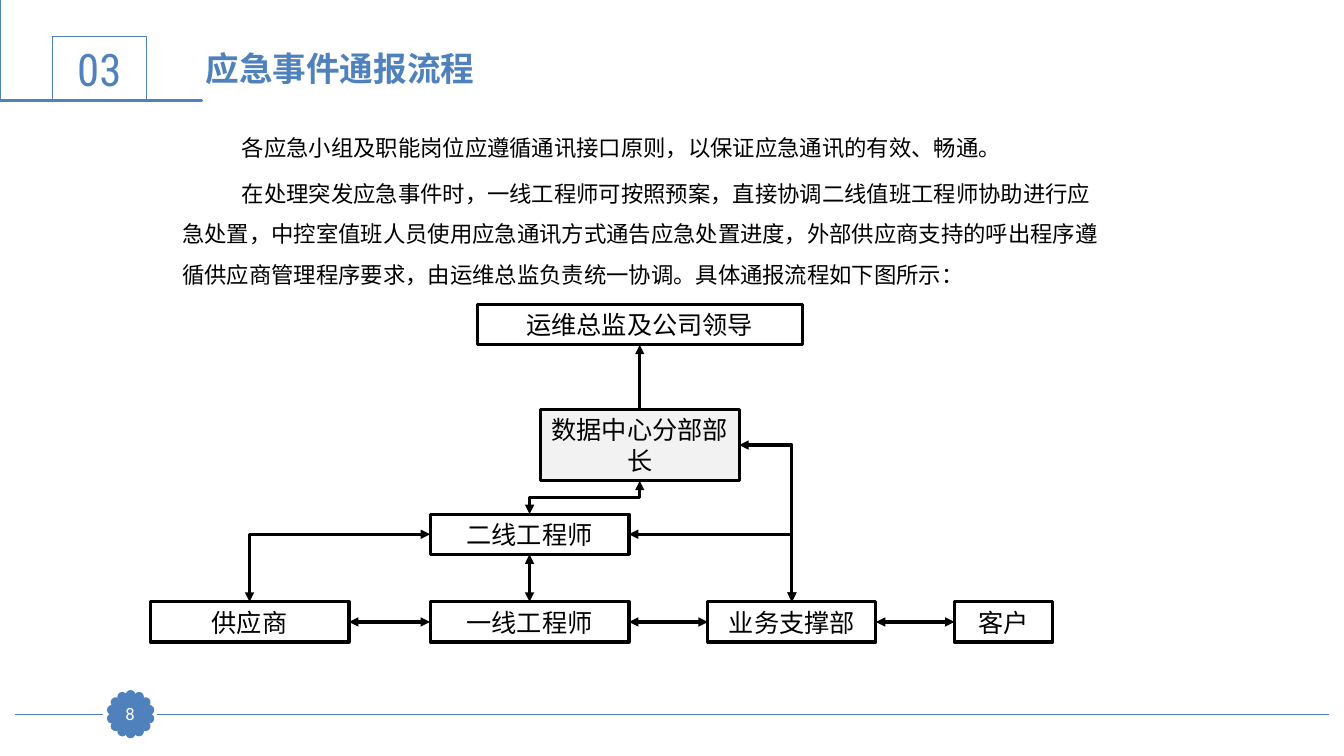
from math import cos, pi, sin

from lxml.etree import SubElement
from pptx import Presentation
from pptx.dml.color import RGBColor
from pptx.enum.shapes import MSO_CONNECTOR, MSO_SHAPE
from pptx.enum.text import MSO_ANCHOR, PP_ALIGN
from pptx.oxml.ns import qn
from pptx.util import Inches, Pt

BLUE = RGBColor(0x4F, 0x81, 0xBD)
GREEN = RGBColor(0x33, 0x99, 0x33)
GREY = RGBColor(0xF2, 0xF2, 0xF2)
BLACK = RGBColor(0, 0, 0)
WHITE = RGBColor(0xFF, 0xFF, 0xFF)

WIDTH, HEIGHT = Inches(13.33), Inches(7.5)
TOP, LEFT, BOTTOM, RIGHT = range(4)

BODY = [
    "各应急小组及职能岗位应遵循通讯接口原则，以保证应急通讯的有效、畅通。",
    "在处理突发应急事件时，一线工程师可按照预案，直接协调二线值班工程师协助进行应急处置，"
    "中控室值班人员使用应急通讯方式通告应急处置进度，外部供应商支持的呼出程序遵循供应商管理程序要求，"
    "由运维总监负责统一协调。具体通报流程如下图所示：",
]

RIBBON = [
    (0.37, 0.46), (0.38, 0.46), (0.38, 0.92), (1.71, 0.92), (1.71, 0.94),
    (0.36, 0.94), (0.36, 0.48), (0.31, 0.48), (0.31, 0.94), (0.19, 0.94),
    (0.19, 0.46), (0.23, 0.46), (0.23, 0.91), (0.28, 0.91), (0.28, 0.46),
]


def col(percent):
    return round(WIDTH * percent / 100)


def row(percent):
    return round(HEIGHT * percent / 100)


def paint(shape, fill, line, weight):
    shape.shadow.inherit = False
    if fill is None:
        shape.fill.background()
    else:
        shape.fill.solid()
        shape.fill.fore_color.rgb = fill
    shape.line.color.rgb = line
    shape.line.width = Pt(weight)


def write(shape, *texts, size=18, font="Roboto", color=BLACK, bold=False,
          align=PP_ALIGN.CENTER, anchor=MSO_ANCHOR.MIDDLE,
          indent=0, spacing=1.0, gap=0):
    frame = shape.text_frame
    frame.word_wrap = True
    frame.vertical_anchor = anchor
    for index, text in enumerate(texts):
        paragraph = frame.add_paragraph() if index else frame.paragraphs[0]
        paragraph.alignment = align
        paragraph.line_spacing = spacing
        paragraph.space_before = Pt(gap if index else 0)
        paragraph.space_after = Pt(gap)
        if indent:
            paragraph._p.get_or_add_pPr().set("indent", str(Inches(indent)))
        run = paragraph.add_run()
        run.text = text
        run.font.size = Pt(size)
        run.font.bold = bold
        run.font.color.rgb = color
        run.font.name = font
        SubElement(run.font._element, qn("a:ea")).set("typeface", font)


def box(slide, text, center_x, center_y, width, height=5.33, fill=None,
        line=BLACK, weight=2.25, **text_format):
    shape = slide.shapes.add_shape(
        MSO_SHAPE.RECTANGLE, col(center_x - width / 2), row(center_y - height / 2),
        col(width), row(height))
    paint(shape, fill, line, weight)
    write(shape, text, **text_format)
    return shape


def text_area(slide, left, top, width, height, *texts, **text_format):
    area = slide.shapes.add_textbox(col(left), row(top), col(width), row(height))
    write(area, *texts, **text_format)


def style_line(connector, color, weight, ends=()):
    connector.line.color.rgb = color
    connector.line.width = Pt(weight)
    properties = connector._element.spPr
    for end in ends:
        SubElement(properties.find(qn("a:ln")), qn(f"a:{end}")).set("type", "triangle")
    SubElement(properties, qn("a:effectLst"))


def link(slide, source, source_side, target, target_side, preset="line",
         ends=("headEnd", "tailEnd")):
    kind = MSO_CONNECTOR.STRAIGHT if preset == "line" else MSO_CONNECTOR.ELBOW
    connector = slide.shapes.add_connector(kind, 0, 0, 0, 0)
    connector.begin_connect(source, source_side)
    connector.end_connect(target, target_side)
    style_line(connector, BLACK, 2.25, ends)
    connector._element.spPr.find(qn("a:prstGeom")).set("prst", preset)
    return connector


def turn_downward(connector):
    left, top = connector.left, connector.top
    across, down = connector.width, connector.height
    connector.left = left + (across - down) // 2
    connector.top = top + (down - across) // 2
    connector.width, connector.height = down, across
    transform = connector._element.spPr.find(qn("a:xfrm"))
    transform.set("rot", "5400000")
    transform.set("flipH", "0")


def footer(slide):
    for start, end in ((1.15, 7.65), (11.7, 98.85)):
        rule = slide.shapes.add_connector(
            MSO_CONNECTOR.STRAIGHT, col(start), row(94.53), col(end), row(94.53))
        style_line(rule, BLUE, 1.25)
    petals, petal, radius = 14, Inches(0.07), Inches(0.19)
    for index in range(petals):
        angle = 2 * pi * index / petals
        scallop = slide.shapes.add_shape(
            MSO_SHAPE.OVAL,
            round(col(9.72) + radius * sin(angle) - petal / 2),
            round(row(94.47) - radius * cos(angle) - petal / 2),
            petal, petal)
        paint(scallop, BLUE, BLUE, 2)
    number = box(slide, "8", 9.68, 94.47, 2.4, 4.13, fill=BLUE, line=BLUE,
                 weight=0.75, size=12, color=WHITE)
    frame = number.text_frame
    frame.margin_left = frame.margin_right = 0
    frame.margin_top = frame.margin_bottom = 0


def header(slide):
    builder = slide.shapes.build_freeform(*RIBBON[0], scale=Inches(1))
    builder.add_line_segments(RIBBON[1:], close=True)
    paint(builder.convert_to_shape(), GREEN, BLUE, 2)
    box(slide, "03", 7.4, 9.07, 7, 8.53, line=BLUE, weight=0.75,
        size=32, font="Roboto Condensed", color=BLUE)
    text_area(slide, 14.55, 5.6, 72, 6.67, "应急事件通报流程",
              size=24, color=BLUE, bold=True, align=PP_ALIGN.LEFT)


def reporting_flow(slide):
    manager = box(slide, "数据中心分部部长", 47.6, 58.87, 14.8, 9.47, fill=GREY)
    second_line = box(slide, "二线工程师", 39.4, 70.67, 14.8)
    first_line = box(slide, "一线工程师", 39.4, 82.27, 14.8)
    leaders = box(slide, "运维总监及公司领导", 47.6, 42.95, 24.2)
    support = box(slide, "业务支撑部", 58.92, 82.27, 12.5)
    customer = box(slide, "客户", 74.67, 82.27, 7.3)
    supplier = box(slide, "供应商", 18.57, 82.27, 14.8)

    link(slide, leaders, BOTTOM, manager, TOP, ends=("headEnd",))
    link(slide, second_line, BOTTOM, first_line, TOP)
    for source, target in ((supplier, first_line), (first_line, support),
                           (support, customer)):
        link(slide, source, RIGHT, target, LEFT)
    for source, side, target in ((manager, RIGHT, support),
                                 (second_line, RIGHT, support),
                                 (second_line, LEFT, supplier)):
        link(slide, source, side, target, TOP, "bentConnector2")
    turn_downward(link(slide, manager, BOTTOM, second_line, TOP, "bentConnector3"))


def main():
    presentation = Presentation()
    presentation.slide_width, presentation.slide_height = WIDTH, HEIGHT
    slide = presentation.slides.add_slide(presentation.slide_layouts[6])
    footer(slide)
    header(slide)
    text_area(slide, 12.83, 15.33, 70.3, 23.6, *BODY, size=16,
              font="Noto Sans CJK SC", align=PP_ALIGN.LEFT,
              anchor=MSO_ANCHOR.TOP, indent=0.59, spacing=1.5, gap=2)
    reporting_flow(slide)
    presentation.save("out.pptx")


if __name__ == "__main__":
    main()
